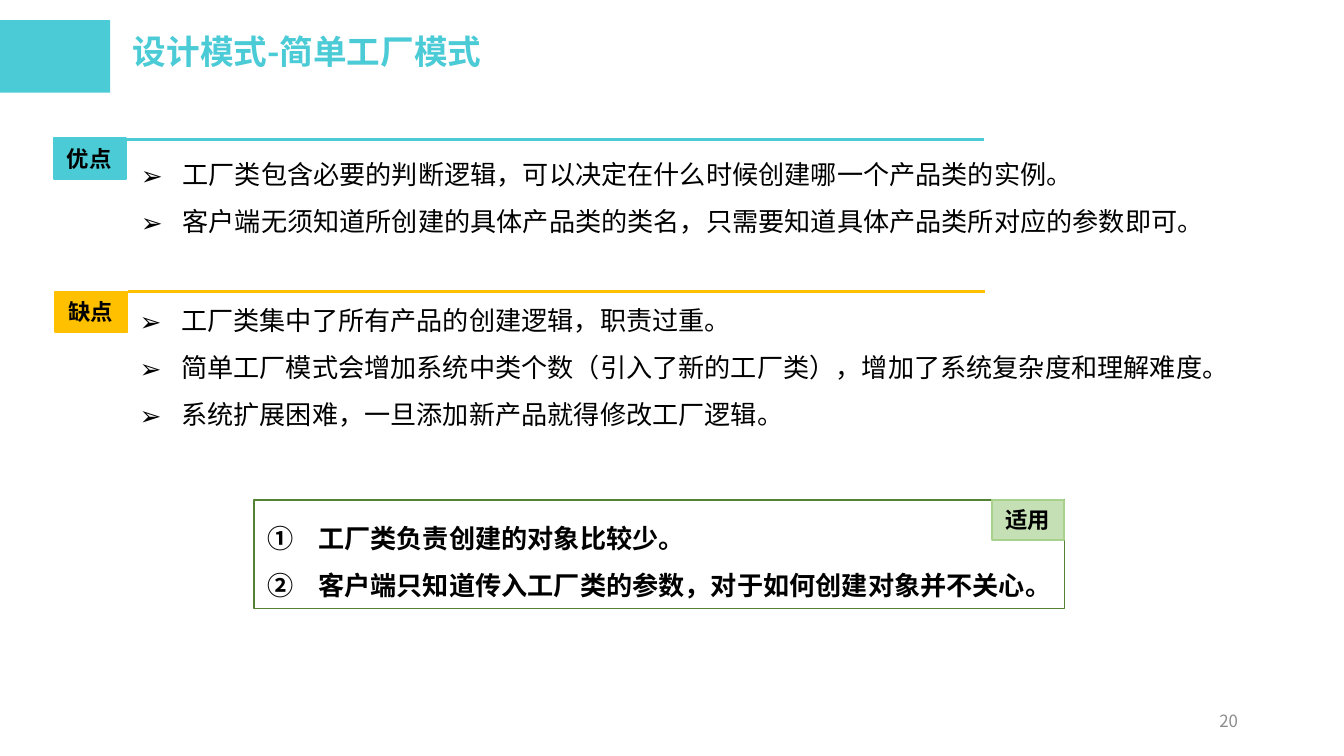
from dataclasses import dataclass

from lxml import etree
from pptx import Presentation
from pptx.dml.color import RGBColor
from pptx.enum.shapes import MSO_CONNECTOR, MSO_SHAPE
from pptx.enum.text import MSO_ANCHOR, MSO_AUTO_SIZE, PP_ALIGN
from pptx.oxml.ns import qn
from pptx.util import Inches, Pt

RECT = MSO_SHAPE.RECTANGLE
STRAIGHT = MSO_CONNECTOR.STRAIGHT
TOP, MIDDLE = MSO_ANCHOR.TOP, MSO_ANCHOR.MIDDLE
LEFT, RIGHT = PP_ALIGN.LEFT, PP_ALIGN.RIGHT
GROW, FIXED = MSO_AUTO_SIZE.SHAPE_TO_FIT_TEXT, MSO_AUTO_SIZE.NONE

# The slide is a 16:9 grid of square cells, ten to the inch.
COLUMNS = 100
ROWS = COLUMNS * 9 / 16
TAG_SIZE = (5.4, 3)
RULE_LENGTH = 63.8


@dataclass(frozen=True)
class Theme:
    font: str = "Noto Sans CJK SC"
    teal: str = "4ACBD6"
    amber: str = "FFC000"
    pale_green: str = "C5E0B4"
    mid_green: str = "A9D18E"
    dark_green: str = "548235"
    text: str = "000000"
    muted: str = "8C8C8C"
    title_pt: float = 18
    body_pt: float = 14
    tag_pt: float = 12
    number_pt: float = 9


THEME = Theme()


@dataclass(frozen=True)
class Box:
    left: float
    top: float
    width: float
    height: float

    def emu(self) -> tuple:
        return tuple(cells(v) for v in (self.left, self.top, self.width, self.height))


@dataclass(frozen=True)
class TextStyle:
    size: float
    color: str = THEME.text
    bold: bool = False
    align: PP_ALIGN = LEFT
    anchor: MSO_ANCHOR = TOP
    fit: MSO_AUTO_SIZE = GROW
    wrap: bool = True
    line_spacing: float = 1.0
    space_before: float = 0
    bullet: tuple = ()  # (element, attribute, value)
    hang: float = 0


@dataclass(frozen=True)
class Section:
    tag: str
    color: str
    tag_at: tuple
    rule_row: float
    body: Box
    points: tuple


ARROW = ("a:buChar", "char", "➢")
CIRCLED = ("a:buAutoNum", "type", "circleNumDbPlain")
TITLE = TextStyle(THEME.title_pt, THEME.teal, True, fit=FIXED, line_spacing=0.8, space_before=7.5)
POINTS = TextStyle(THEME.body_pt, line_spacing=1.5, bullet=ARROW, hang=3.1)
USES = TextStyle(THEME.body_pt, bold=True, line_spacing=1.5, bullet=CIRCLED, hang=3.8)
TAG = TextStyle(THEME.tag_pt, bold=True, wrap=False)
NUMBER = TextStyle(THEME.number_pt, THEME.muted, align=RIGHT, anchor=MIDDLE, fit=FIXED)

SECTIONS = (
    Section("优点", THEME.teal, (4, 10.3), 10.4, Box(9.5, 10.1, 80.2, 8.1), (
        "工厂类包含必要的判断逻辑，可以决定在什么时候创建哪一个产品类的实例。",
        "客户端无须知道所创建的具体产品类的类名，只需要知道具体产品类所对应的参数即可。",
    )),
    Section("缺点", THEME.amber, (4.1, 21.7), 21.7, Box(9.4, 21, 81.7, 11.6), (
        "工厂类集中了所有产品的创建逻辑，职责过重。",
        "简单工厂模式会增加系统中类个数（引入了新的工厂类），增加了系统复杂度和理解难度。",
        "系统扩展困难，一旦添加新产品就得修改工厂逻辑。",
    )),
)
USE_CASES = (
    "工厂类负责创建的对象比较少。",
    "客户端只知道传入工厂类的参数，对于如何创建对象并不关心。",
)
USE_BOX = Box(18.9, 37.2, 60.3, 8.1)


def cells(count: float) -> int:
    return Inches(count / 10)


def rgb(color: str) -> RGBColor:
    return RGBColor.from_string(color)


def apply(target, formats: dict) -> None:
    for name, value in formats.items():
        setattr(target, name, value)


def write(frame, lines: tuple, style: TextStyle) -> None:
    apply(frame, {"word_wrap": style.wrap, "auto_size": style.fit,
                  "vertical_anchor": style.anchor})
    for index, line in enumerate(lines):
        paragraph = frame.add_paragraph() if index else frame.paragraphs[0]
        apply(paragraph, {"alignment": style.align, "line_spacing": style.line_spacing,
                          "space_before": Pt(style.space_before)})
        if style.bullet:
            element, attribute, value = style.bullet
            properties = paragraph._p.get_or_add_pPr()
            properties.set("marL", str(cells(style.hang)))
            properties.set("indent", str(-cells(style.hang)))
            etree.SubElement(properties, qn("a:buFont")).set("typeface", THEME.font)
            etree.SubElement(properties, qn(element)).set(attribute, value)
        run = paragraph.add_run()
        run.text = line
        apply(run.font, {"name": THEME.font, "size": Pt(style.size), "bold": style.bold})
        run.font.color.rgb = rgb(style.color)
        east_asian = etree.SubElement(run.font._element, qn("a:ea"))
        east_asian.set("typeface", THEME.font)


def add_text(slide, box: Box, lines: tuple, style: TextStyle) -> None:
    write(slide.shapes.add_textbox(*box.emu()).text_frame, lines, style)


def add_panel(slide, box: Box, fill: str = "", line: str = "", weight: float = 1):
    panel = slide.shapes.add_shape(RECT, *box.emu())
    panel.shadow.inherit = False
    if fill:
        panel.fill.solid()
        panel.fill.fore_color.rgb = rgb(fill)
    else:
        panel.fill.background()
    if line:
        panel.line.color.rgb = rgb(line)
        panel.line.width = Pt(weight)
    else:
        panel.line.fill.background()
    return panel


def add_tag(slide, left: float, top: float, label: str, fill: str, line: str) -> None:
    tag = add_panel(slide, Box(left, top, *TAG_SIZE), fill, line)
    write(tag.text_frame, (label,), TAG)


def add_rule(slide, left: float, row: float, color: str) -> None:
    rule = slide.shapes.add_connector(
        STRAIGHT, cells(left), cells(row), cells(left + RULE_LENGTH), cells(row))
    rule.line.color.rgb = rgb(color)
    rule.line.width = Pt(1.5)
    etree.SubElement(rule._element.spPr, qn("a:effectLst"))


def add_section(slide, section: Section) -> None:
    left, top = section.tag_at
    add_text(slide, section.body, section.points, POINTS)
    add_tag(slide, left, top, section.tag, section.color, section.color)
    add_rule(slide, left + TAG_SIZE[0], section.rule_row, section.color)


def main() -> None:
    deck = Presentation()
    apply(deck, {"slide_width": cells(COLUMNS), "slide_height": cells(ROWS)})
    slide = deck.slides.add_slide(deck.slide_layouts[6])

    add_panel(slide, Box(0, 1.5, 8.2, 5.4), THEME.teal)
    add_text(slide, Box(8.9, 2.4, 40.2, 4.6), ("设计模式-简单工厂模式",), TITLE)
    for section in SECTIONS:
        add_section(slide, section)

    uses = add_panel(slide, USE_BOX, line=THEME.dark_green, weight=0.75)
    write(uses.text_frame, USE_CASES, USES)
    tag_left = USE_BOX.left + USE_BOX.width - TAG_SIZE[0]
    add_tag(slide, tag_left, USE_BOX.top, "适用", THEME.pale_green, THEME.mid_green)
    add_text(slide, Box(70.6, 52.1, 22.5, 3), ("20",), NUMBER)
    deck.save("out.pptx")


if __name__ == "__main__":
    main()
